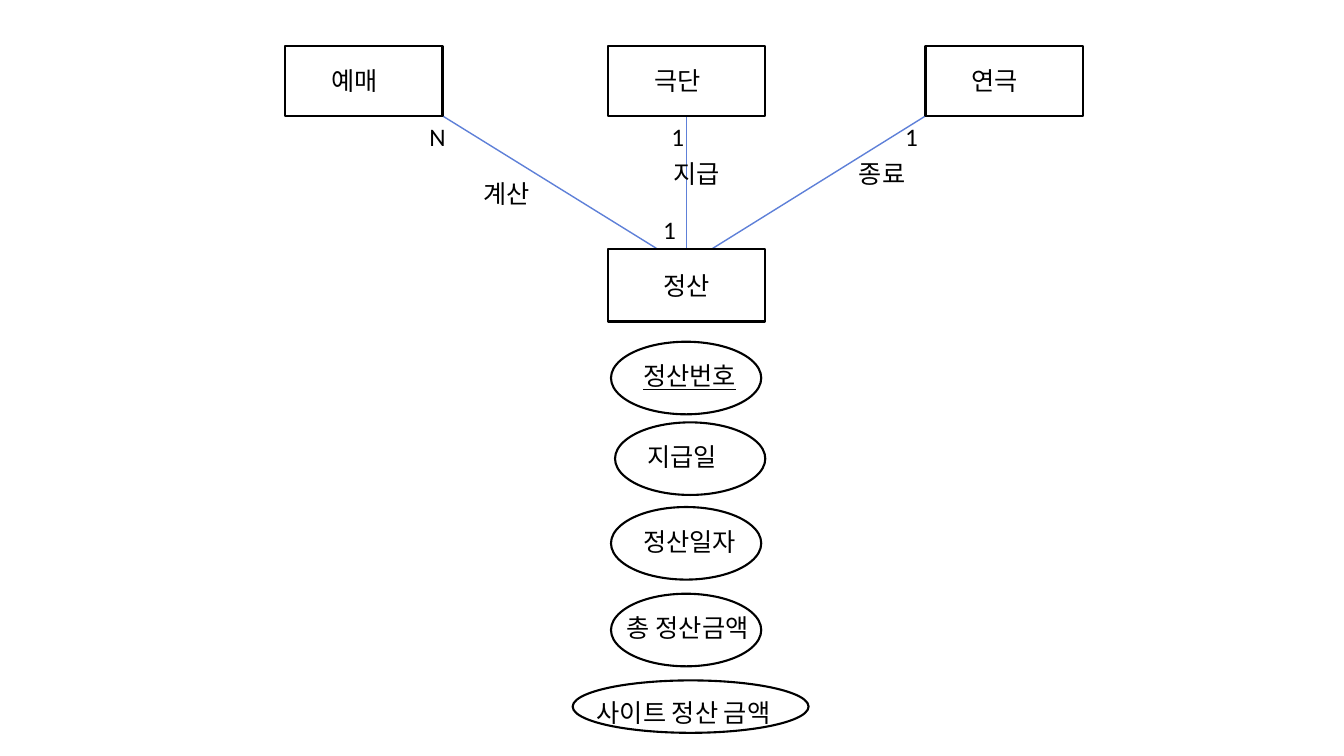
"""Build an entity-relationship slide for settlements (정산) and their attributes."""
from lxml import etree
from pptx import Presentation
from pptx.dml.color import RGBColor
from pptx.enum.shapes import MSO_CONNECTOR, MSO_SHAPE
from pptx.enum.text import MSO_ANCHOR, PP_ALIGN
from pptx.oxml.ns import qn
from pptx.util import Inches, Pt

RECTANGLE, OVAL = MSO_SHAPE.RECTANGLE, MSO_SHAPE.OVAL
STRAIGHT = MSO_CONNECTOR.STRAIGHT
TOP, LEFT = MSO_ANCHOR.TOP, PP_ALIGN.LEFT
BLACK, BLUE = "000000", "5E80D8"


def rgb(code):
    """Turn a hex string into a colour."""
    return RGBColor.from_string(code)


def add_text(text, left, top, width=1.63, height=0.4, size=18, color=BLACK, underline=None):
    """Place a left-aligned label on the slide."""
    label = slide.shapes.add_textbox(Inches(left), Inches(top), Inches(width), Inches(height))
    frame = label.text_frame
    frame.word_wrap = True
    frame.vertical_anchor = TOP
    paragraph = frame.paragraphs[0]
    paragraph.alignment = LEFT
    run = paragraph.add_run()
    run.text = text
    run.font.name = "Calibri"
    run.font.size = Pt(size)
    run.font.color.rgb = rgb(color)
    run.font.underline = underline


prs = Presentation()
prs.slide_width, prs.slide_height = Inches(13.33), Inches(7.5)
slide = prs.slides.add_slide(prs.slide_layouts[6])

entity_width, attribute_width, node_height = 1.56, 1.49, 0.72
entity_top, entity_height, settlement_top = 0.46, 0.69, 2.47
entity_bottom = entity_top + entity_height

relationships = [
    ((4.39, 6.52), "계산", 4.7, 1.72),
    ((6.81, 6.81), "지급", 6.58, 1.52),
    ((9.18, 7.06), "종료", 8.42, 1.52),
]
for (start, end), verb, verb_left, verb_top in relationships:
    link = slide.shapes.add_connector(
        STRAIGHT, Inches(start), Inches(entity_bottom), Inches(end), Inches(settlement_top))
    link.line.color.rgb = rgb(BLUE)
    link.line.width = Pt(1)
    etree.SubElement(link._element.spPr, qn("a:effectLst"))
    add_text(verb, verb_left, verb_top, width=0.85)

for cardinality, left, top in [("N", 4.16, 1.15), ("1", 6.56, 1.15), ("1", 8.88, 1.15), ("1", 6.48, 2.08)]:
    add_text(cardinality, left, top, width=0.66)

entities = [
    (RECTANGLE, name, left, entity_top, entity_width, entity_height, 0.36, 0.14)
    for name, left in [("예매", 2.83), ("극단", 6.03), ("연극", 9.18)]
]
settlement = (RECTANGLE, "정산", 6.03, settlement_top, entity_width, node_height, 0.45, 0.16)
attributes = [
    (OVAL, name, left, top, attribute_width, node_height, indent, 0.14)
    for name, left, top, indent in [
        ("정산번호", 6.06, 3.39, 0.22),
        ("지급일", 6.1, 4.19, 0.22),
        ("정산일자", 6.06, 5.03, 0.22),
        ("총 정산금액", 6.06, 5.89, 0.06),
    ]
]
site_amount = (OVAL, "사이트 정산 금액", 5.68, 6.75, 2.34, 0.52, 0.14, 0.12)

for outline, name, left, top, width, height, indent, drop in [
        *entities, settlement, *attributes, site_amount]:
    node = slide.shapes.add_shape(outline, Inches(left), Inches(top), Inches(width), Inches(height))
    node.shadow.inherit = False
    node.fill.background()
    node.line.color.rgb = rgb(BLACK)
    node.line.width = Pt(1.5)
    add_text(name, left + indent, top + drop, width=max(1.63, width - 0.2),
             underline=name == "정산번호")

prs.save("out.pptx")
